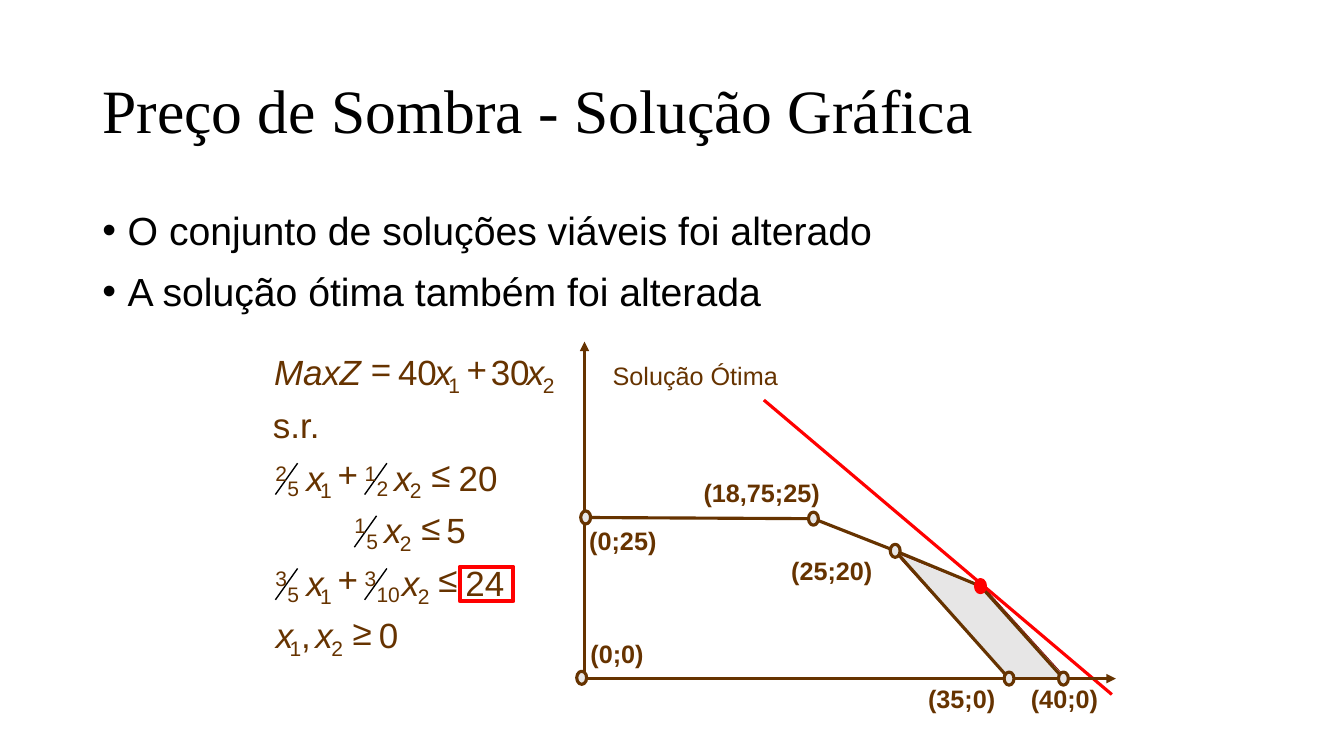
from lxml import etree
from pptx import Presentation
from pptx.dml.color import RGBColor
from pptx.enum.shapes import MSO_CONNECTOR, MSO_SHAPE
from pptx.enum.text import MSO_ANCHOR, MSO_AUTO_SIZE
from pptx.oxml.ns import qn
from pptx.util import Cm, Pt

RECTANGLE, ELLIPSE = MSO_SHAPE.RECTANGLE, MSO_SHAPE.OVAL
STRAIGHT = MSO_CONNECTOR.STRAIGHT
TOP, MIDDLE = MSO_ANCHOR.TOP, MSO_ANCHOR.MIDDLE
NO_FIT, GROW = MSO_AUTO_SIZE.NONE, MSO_AUTO_SIZE.SHAPE_TO_FIT_TEXT

BLACK = RGBColor(0x00, 0x00, 0x00)
BROWN = RGBColor(0x66, 0x33, 0x00)
MAROON = RGBColor(0x80, 0x00, 0x00)
RED = RGBColor(0xFF, 0x00, 0x00)
GRAY = RGBColor(0xE7, 0xE6, 0xE6)

TITLE = "Preço de Sombra - Solução Gráfica"
BULLETS = ["O conjunto de soluções viáveis foi alterado",
           "A solução ótima também foi alterada"]

# Each row of the model: (left edge in cm, term)
MODEL = [
    [(6.91, "Max"), (8.56, "Z"), (9.35, "="), (10.03, "40"), (10.95, "x1"),
     (11.76, "+"), (12.37, "30"), (13.28, "x2")],
    [(6.88, "s.r.")],
    [(6.94, "2/5"), (7.72, "x1"), (8.51, "+"), (9.19, "1/2"), (9.93, "x2"),
     (10.87, "≤"), (11.56, "20")],
    [(8.93, "1/5"), (9.68, "x2"), (10.62, "≤"), (11.25, "5")],
    [(6.94, "3/5"), (7.72, "x1"), (8.51, "+"), (9.19, "3/10"), (10.13, "x2"),
     (11.05, "≤"), (11.73, "24")],
    [(6.95, "x1"), (7.59, ","), (7.95, "x2"), (8.89, "≥"), (9.55, "0")],
]
MODEL_TOP, ROW_STEP = 8.84, 1.326
GLYPH_WIDTHS = {"M": 0.83, "x": 0.5, "Z": 0.61, "s": 0.5, "r": 0.33,
                ".": 0.28, ",": 0.28}
DIGIT_WIDTH = 0.556

# Points of the graph, in cm
ORIGIN = (14.66, 17.08)
LEFT_TOP = (14.76, 13.04)
BEND = (20.5, 13.07)
OLD_OPTIMUM = (22.56, 13.88)
OPTIMUM = (24.71, 14.77)
OLD_END = (25.43, 17.1)
NEW_END = (26.8, 17.1)
EDGES = [(LEFT_TOP, BEND), (BEND, OLD_OPTIMUM), (OLD_OPTIMUM, OLD_END),
         (OLD_OPTIMUM, OPTIMUM), (OPTIMUM, NEW_END)]
MARKERS = [ORIGIN, LEFT_TOP, BEND, OLD_OPTIMUM, OPTIMUM, OLD_END, NEW_END]
ADDED_REGION = [(22.71, 14.1), (25.4, 17.07), (26.85, 17.07),
                (24.82, 14.83), (22.61, 13.94)]
VERTICAL_AXIS = ((14.73, 17.15), (14.73, 8.61))
HORIZONTAL_AXIS = ((14.58, 17.1), (28.12, 17.1))
OBJECTIVE = ((19.25, 10.08), (28.02, 17.5))
MARKER_WIDTH, MARKER_HEIGHT = 0.25, 0.33
LABEL_HEIGHT = 1.02

# Text, left, top, width, bold
LABELS = [
    ("(0;25)", 14.6, 13.11, 2.24, True),
    ("(0;0)", 14.63, 15.95, 1.85, True),
    ("(18,75;25)", 17.48, 11.91, 3.48, True),
    ("(35;0)", 23.14, 17.09, 2.24, True),
    ("(25;20)", 19.69, 13.87, 2.59, True),
    ("(40;0)", 25.73, 17.09, 2.24, True),
    ("Solução Ótima", 15.19, 8.94, 4.72, False),
]

deck = Presentation()
deck.slide_width, deck.slide_height = Cm(33.87), Cm(19.05)
page = deck.slides.add_slide(deck.slide_layouts[6])


def add_text(lines, left, top, width, height, size, color=BROWN, font="Arial",
             bold=False, italic=False, anchor=MIDDLE, wrap=False, inset=True,
             bullet=False):
    box = page.shapes.add_textbox(Cm(left), Cm(top), Cm(width), Cm(height))
    frame = box.text_frame
    frame.word_wrap = wrap
    frame.auto_size = NO_FIT if wrap else GROW
    frame.vertical_anchor = anchor
    if not inset:
        frame.margin_left = frame.margin_right = 0
        frame.margin_top = frame.margin_bottom = 0
    for index, line in enumerate(lines):
        para = frame.paragraphs[0] if index == 0 else frame.add_paragraph()
        para.text = line
        if index:
            para.space_before = Pt(10)
        if bullet:
            properties = para._p.get_or_add_pPr()
            properties.set("marL", str(Cm(0.64)))
            properties.set("indent", str(-Cm(0.64)))
            etree.SubElement(properties, qn("a:buFont")).set("typeface", "Arial")
            etree.SubElement(properties, qn("a:buChar")).set("char", "•")
        para.font.name, para.font.size = font, Pt(size)
        para.font.bold, para.font.italic = bold, italic
        para.font.color.rgb = color
    return frame


def add_line(start, end, color=BROWN, weight=2.25, arrow=False):
    line = page.shapes.add_connector(
        STRAIGHT, Cm(start[0]), Cm(start[1]), Cm(end[0]), Cm(end[1]))
    line.line.color.rgb = color
    line.line.width = Pt(weight)
    if arrow:
        outline = line.line._get_or_add_ln()
        etree.SubElement(outline, qn("a:tailEnd")).set("type", "triangle")
    etree.SubElement(line._element.spPr, qn("a:effectLst"))


def style(shape, fill, color, weight):
    shape.shadow.inherit = False
    if fill is None:
        shape.fill.background()
    else:
        shape.fill.solid()
        shape.fill.fore_color.rgb = fill
    shape.line.color.rgb = color
    shape.line.width = Pt(weight)


def add_glyphs(text, left, top, size=25, italic=False):
    """Place a piece of the model in a box as wide as its letters."""
    ems = sum(GLYPH_WIDTHS.get(letter, DIGIT_WIDTH) for letter in text)
    em = size * 2.54 / 72
    add_text([text], left, top, ems * em, 1.2 * em, size, italic=italic,
             anchor=TOP, inset=False)


def add_term(term, left, top):
    if "/" in term:
        numerator, denominator = term.split("/")
        add_line((left + 0.56, top + 0.18), (left, top + 0.97), BLACK, 1)
        add_glyphs(numerator, left, top + 0.1, 15)
        add_glyphs(denominator, left + 0.3, top + 0.5, 15)
    elif term in ("x1", "x2"):
        add_glyphs("x", left, top, italic=True)
        add_glyphs(term[1], left + (0.35 if term == "x1" else 0.4), top + 0.55, 15)
    elif term in "+=≤≥":
        add_glyphs(term, left, top - 0.09)
    else:
        add_glyphs(term, left, top, italic=term in ("Max", "Z"))


title = add_text([TITLE], 2.33, 1.01, 29.21, 3.68, 44, BLACK, "Times New Roman",
                 wrap=True)
title.paragraphs[0].line_spacing = 0.9
add_text(BULLETS, 2.33, 5.07, 29.21, 12.09, 28, BLACK, anchor=TOP, wrap=True,
         bullet=True)

for row, terms in enumerate(MODEL):
    for left, term in terms:
        add_term(term, left, MODEL_TOP + row * ROW_STEP)
highlight = page.shapes.add_shape(RECTANGLE, Cm(11.59), Cm(14.28), Cm(1.35), Cm(0.87))
style(highlight, None, RED, 3)

corners = [(Cm(x), Cm(y)) for x, y in ADDED_REGION]
builder = page.shapes.build_freeform(*corners[0])
builder.add_line_segments(corners[1:], close=True)
style(builder.convert_to_shape(), GRAY, MAROON, 0.5)

add_line(*VERTICAL_AXIS, arrow=True)
for edge in EDGES:
    add_line(*edge)
add_line(*OBJECTIVE, color=RED)
add_line(*HORIZONTAL_AXIS, arrow=True)
for text, left, top, width, bold in LABELS:
    add_text([text], left, top, width, LABEL_HEIGHT, 18, bold=bold)
for point in MARKERS:
    marker = page.shapes.add_shape(
        ELLIPSE, Cm(point[0] - MARKER_WIDTH / 2), Cm(point[1] - MARKER_HEIGHT / 2),
        Cm(MARKER_WIDTH), Cm(MARKER_HEIGHT))
    best = point == OPTIMUM
    style(marker, RED if best else GRAY, RED if best else BROWN, 2.25)

deck.save("out.pptx")
